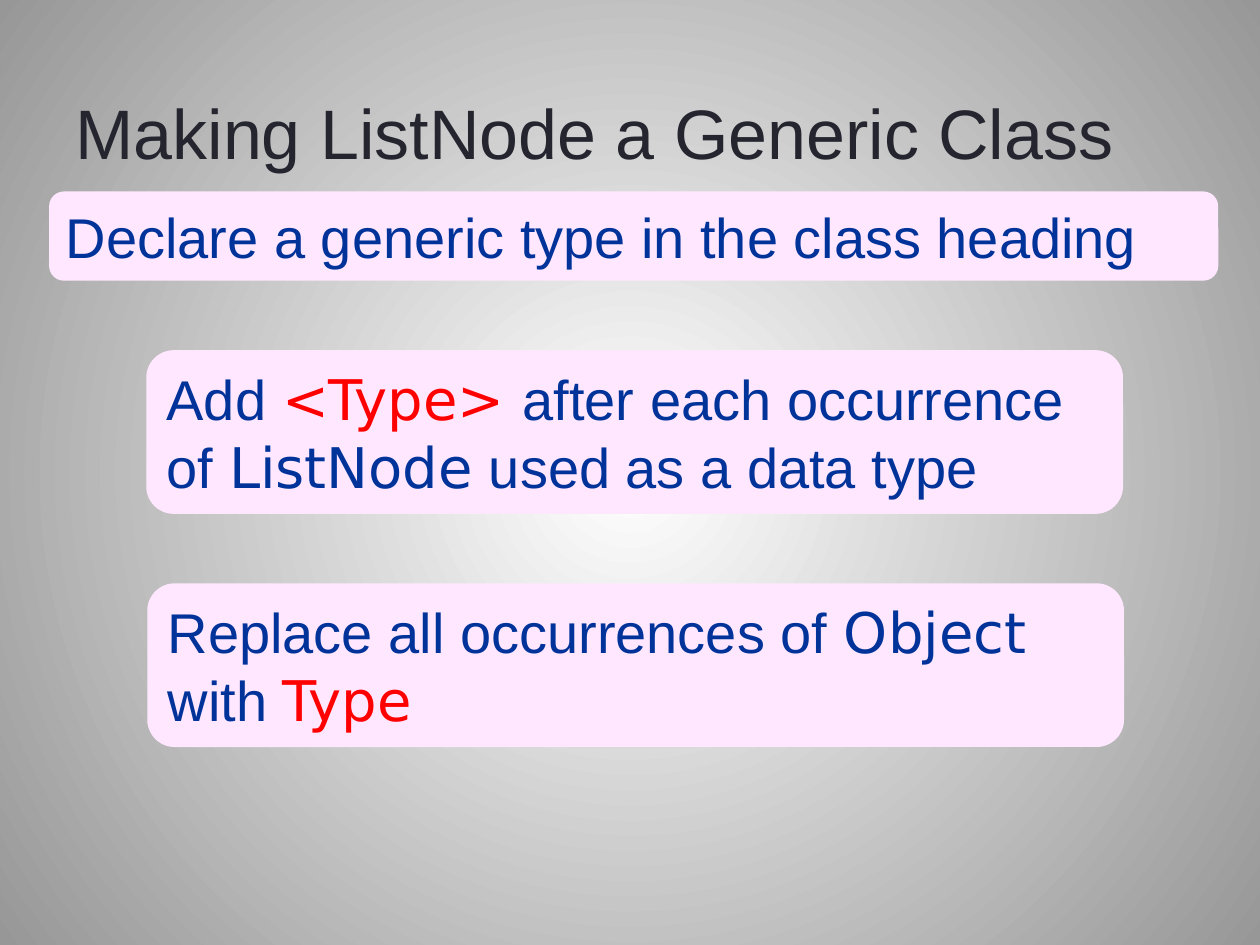
from lxml.etree import SubElement
from pptx import Presentation
from pptx.dml.color import RGBColor
from pptx.enum.shapes import MSO_SHAPE
from pptx.enum.text import MSO_ANCHOR, MSO_AUTO_SIZE
from pptx.oxml.ns import qn
from pptx.util import Cm, Pt

SANS, CODE = "Arial", "DejaVu Sans"
BLUE, RED, PINK, DARK = "003399", "FF0000", "FFE7FF", "25252F"


def rgb(value):
    return RGBColor.from_string(value)


def write(sp, runs, size, **frame):
    """Fill a shape with one paragraph of (text, font, colour) runs."""
    tf = sp.text_frame
    for name, value in {"word_wrap": True, "vertical_anchor": MSO_ANCHOR.MIDDLE, **frame}.items():
        setattr(tf, name, value)
    p = tf.paragraphs[0]
    p.alignment = 1
    for text, font, color in runs:
        r = p.add_run()
        r.text = text
        for name, value in {"name": font, "size": Pt(size)}.items():
            setattr(r.font, name, value)
        r.font.color.rgb = rgb(color)


prs = Presentation()
prs.slide_width, prs.slide_height = Cm(25.4), Cm(19.05)
s = prs.slides.add_slide(prs.slide_layouts[6])

# Background: circular gradient from the slide centre
fill = s.background.fill
fill.gradient()
for stop, (position, color) in zip(fill.gradient_stops, [(0, "FFFFFF"), (1, "979797")]):
    stop.position = position
    stop.color.rgb = rgb(color)
grad = next(s.element.iter(qn("a:gradFill")))
grad.remove(grad.find(qn("a:lin")))
circle = SubElement(grad, qn("a:path"), path="circle")
SubElement(circle, qn("a:fillToRect"), dict.fromkeys("ltrb", "50000"))

# Title
title = s.shapes.add_textbox(Cm(1.27), Cm(0.53), Cm(22.43), Cm(4.24))
write(title, [("Making ListNode a Generic Class", SANS, DARK)], 40)

# Steps: left, top, width, height in cm, then the runs
steps = [
    (0.99, 3.86, 23.57, 1.8, [("Declare a generic type in the class heading", SANS, BLUE)]),
    (2.95, 7.06, 19.69, 3.3, [
        ("Add ", SANS, BLUE), ("<Type> ", CODE, RED),
        ("after each occurrence of ", SANS, BLUE), ("ListNode", CODE, BLUE),
        (" used as a data type", SANS, BLUE)]),
    (2.97, 11.76, 19.69, 3.3, [
        ("Replace all occurrences of ", SANS, BLUE), ("Object", CODE, BLUE),
        (" with ", SANS, BLUE), ("Type", CODE, RED)]),
]
for *box, runs in steps:
    sp = s.shapes.add_shape(MSO_SHAPE.ROUNDED_RECTANGLE, *map(Cm, box))
    sp.shadow.inherit = False
    sp.fill.solid()
    sp.fill.fore_color.rgb = rgb(PINK)
    sp.line.fill.background()
    write(sp, runs, 32, auto_size=MSO_AUTO_SIZE.SHAPE_TO_FIT_TEXT)

prs.save("out.pptx")
